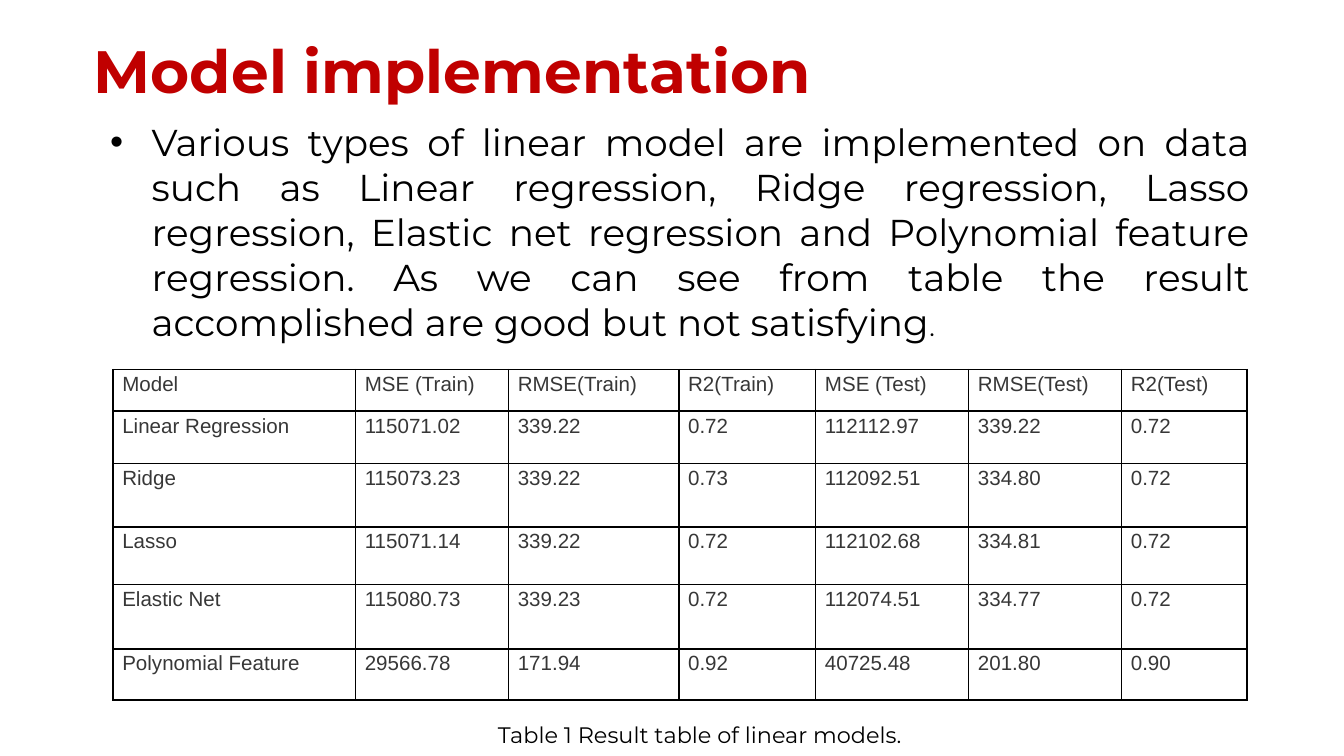
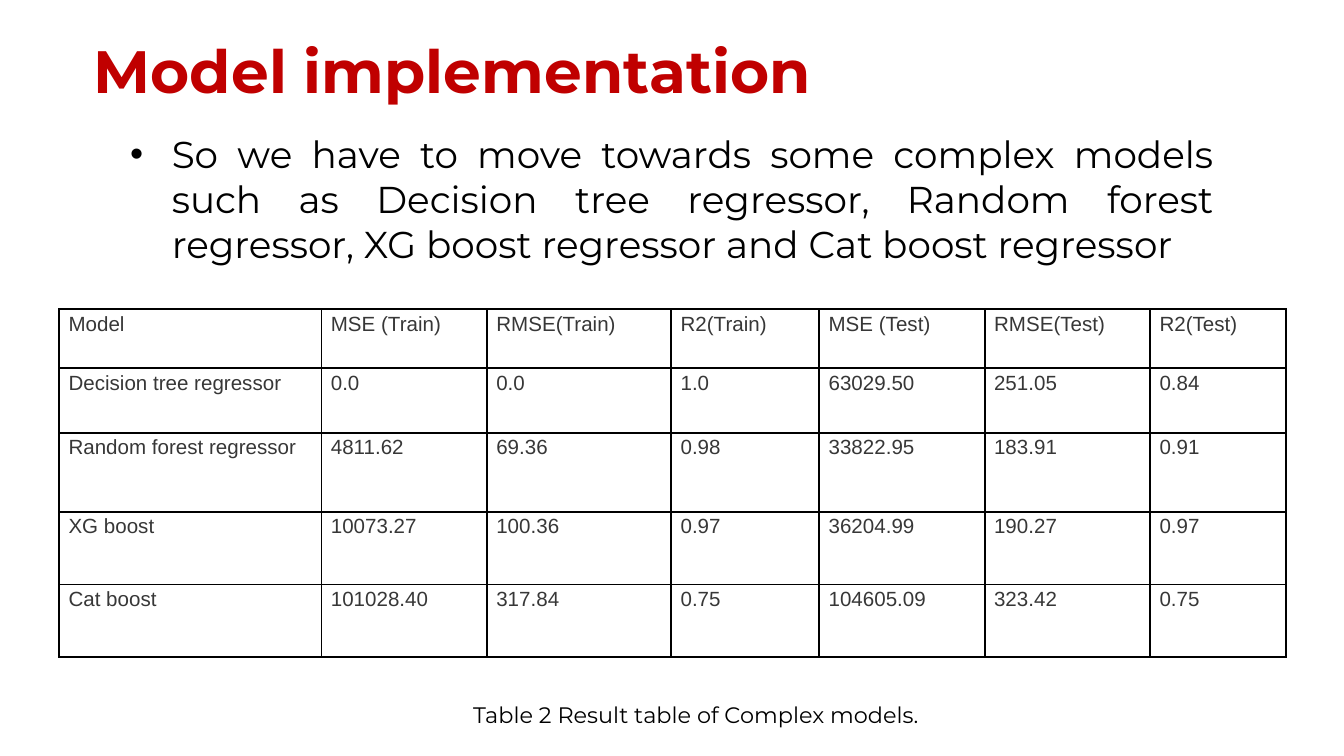
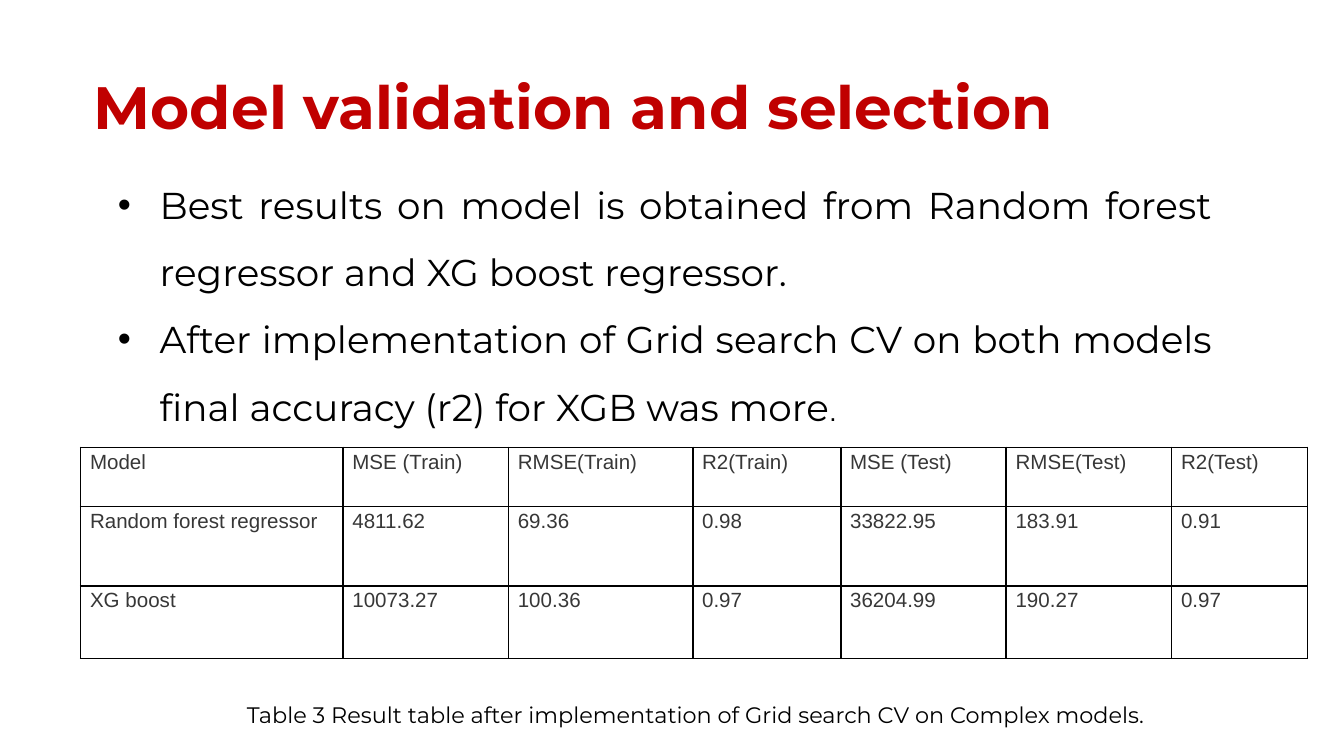
from dataclasses import dataclass

import lxml.etree
import pptx
import pptx.dml.color
import pptx.enum.text
import pptx.oxml.ns
import pptx.presentation
import pptx.shapes.autoshape
import pptx.slide
import pptx.table
import pptx.text.text
import pptx.util

Inches = pptx.util.Inches
Pt = pptx.util.Pt
ALIGN = pptx.enum.text.PP_ALIGN


@dataclass(frozen=True)
class Theme:
    title_color: str = "C00000"
    text_color: str = "000000"
    cell_color: str = "373737"
    font: str = "Montserrat"
    cell_font: str = "Arial"
    title_size: int = 32
    body_size: int = 20
    stop_size: int = 14
    caption_size: int = 12
    cell_size: int = 11
    border_width: float = 1
    bullet_indent: float = 0.31
    cell_margin: float = 0.07


@dataclass(frozen=True)
class Area:
    left: float
    top: float
    width: float
    height: float


@dataclass(frozen=True)
class ModelRow:
    height: float
    values: tuple[str, ...]


@dataclass(frozen=True)
class ResultTable:
    left: float
    top: float
    width: float
    header_height: float
    rows: tuple[ModelRow, ...]


@dataclass(frozen=True)
class ResultPage:
    title: str
    title_area: Area
    bullets: tuple[str, ...]
    body_area: Area
    table: ResultTable
    caption: str
    caption_area: Area
    line_spacing: float = 1.0
    stop_font: str = ""


THEME = Theme()
HEADINGS = ("Model", "MSE (Train)", "RMSE(Train)", "R2(Train)",
            "MSE (Test)", "RMSE(Test)", "R2(Test)")
COLUMN_SHARES = (1.95, 1.23, 1.37, 1.1, 1.23, 1.23, 1.01)
LOW_CAPTION = Area(0.57, 5.17, 9.26, 0.3)

RANDOM_FOREST = ModelRow(0.59, ("Random forest regressor", "4811.62", "69.36", "0.98",
                                "33822.95", "183.91", "0.91"))
XG_BOOST = ModelRow(0.54, ("XG boost", "10073.27", "100.36", "0.97",
                           "36204.99", "190.27", "0.97"))
LINEAR_MODELS = (
    ModelRow(0.39, ("Linear Regression", "115071.02", "339.22", "0.72",
                    "112112.97", "339.22", "0.72")),
    ModelRow(0.47, ("Ridge", "115073.23", "339.22", "0.73",
                    "112092.51", "334.80", "0.72")),
    ModelRow(0.43, ("Lasso", "115071.14", "339.22", "0.72",
                    "112102.68", "334.81", "0.72")),
    ModelRow(0.48, ("Elastic Net", "115080.73", "339.23", "0.72",
                    "112074.51", "334.77", "0.72")),
    ModelRow(0.38, ("Polynomial Feature", "29566.78", "171.94", "0.92",
                    "40725.48", "201.80", "0.90")),
)
COMPLEX_MODELS = (
    ModelRow(0.48, ("Decision tree regressor", "0.0", "0.0", "1.0",
                    "63029.50", "251.05", "0.84")),
    RANDOM_FOREST,
    XG_BOOST,
    ModelRow(0.54, ("Cat boost", "101028.40", "317.84", "0.75",
                    "104605.09", "323.42", "0.75")),
)

PAGES = (
    ResultPage(
        title="Model implementation",
        title_area=Area(0.6, 0.2, 5.83, 0.64),
        bullets=("Various types of linear model are implemented on data such as Linear "
                 "regression, Ridge regression, Lasso regression, Elastic net regression "
                 "and Polynomial feature regression. As we can see from table the result "
                 "accomplished are good but not satisfying",),
        body_area=Area(0.72, 0.84, 8.68, 1.78),
        table=ResultTable(0.84, 2.75, 8.44, 0.31, LINEAR_MODELS),
        caption="Table 1 Result table of linear models. ",
        caption_area=Area(0.6, 5.32, 9.26, 0.3),
        stop_font=THEME.font,
    ),
    ResultPage(
        title="Model implementation",
        title_area=Area(0.6, 0.2, 8.13, 0.64),
        bullets=("So we have to move towards some complex models such as Decision tree "
                 "regressor, Random forest regressor, XG boost regressor and Cat boost "
                 "regressor",),
        body_area=Area(0.87, 0.93, 8.26, 1.11),
        table=ResultTable(0.44, 2.3, 9.13, 0.44, COMPLEX_MODELS),
        caption="Table 2 Result table of Complex models. ",
        caption_area=LOW_CAPTION,
    ),
    ResultPage(
        title="Model validation and selection",
        title_area=Area(0.6, 0.2, 8.34, 0.82),
        bullets=("Best results on model is obtained from Random forest regressor and "
                 "XG boost regressor.",
                 "After implementation of Grid search CV on both models final accuracy "
                 "(r2) for XGB was more"),
        body_area=Area(0.78, 1.14, 8.34, 2.06),
        table=ResultTable(0.6, 3.33, 9.13, 0.44, (RANDOM_FOREST, XG_BOOST)),
        caption="Table 3 Result table after implementation of Grid search CV on "
                "Complex models. ",
        caption_area=LOW_CAPTION,
        line_spacing=1.5,
        stop_font=THEME.cell_font,
    ),
)


def style_span(span: pptx.text.text._Run, size: int, color: str,
               font: str = THEME.font, bold: bool = False) -> None:
    span.font.name = font
    span.font.size = Pt(size)
    span.font.bold = bold
    span.font.color.rgb = pptx.dml.color.RGBColor.from_string(color)


def add_text(page: pptx.slide.Slide, area: Area, lines: tuple[str, ...], size: int,
             color: str, align: ALIGN, line_spacing: float = 1.0,
             bold: bool = False) -> pptx.shapes.autoshape.Shape:
    box = page.shapes.add_textbox(Inches(area.left), Inches(area.top),
                                  Inches(area.width), Inches(area.height))
    box.text_frame.text = "\n".join(lines)
    box.text_frame.word_wrap = True
    box.text_frame.auto_size = pptx.enum.text.MSO_AUTO_SIZE.SHAPE_TO_FIT_TEXT
    for para in box.text_frame.paragraphs:
        para.alignment = align
        para.line_spacing = line_spacing
        style_span(para.runs[0], size, color, bold=bold)
    return box


def add_bullet(para: pptx.text.text._Paragraph) -> None:
    properties = para._p.get_or_add_pPr()
    indent = Inches(THEME.bullet_indent)
    properties.set("marL", str(indent))
    properties.set("indent", str(-indent))
    qn = pptx.oxml.ns.qn
    bullet_color = lxml.etree.SubElement(properties, qn("a:buClr"))
    lxml.etree.SubElement(bullet_color, qn("a:srgbClr"), val=THEME.text_color)
    lxml.etree.SubElement(properties, qn("a:buFont"), typeface=THEME.cell_font)
    lxml.etree.SubElement(properties, qn("a:buChar"), char="•")


def add_body(page: pptx.slide.Slide, content: ResultPage) -> None:
    box = add_text(page, content.body_area, content.bullets, THEME.body_size,
                   THEME.text_color, ALIGN.JUSTIFY, content.line_spacing)
    for para in box.text_frame.paragraphs:
        add_bullet(para)
    if content.stop_font:
        stop = box.text_frame.paragraphs[-1].add_run()
        stop.text = "."
        style_span(stop, THEME.stop_size, THEME.text_color, content.stop_font)


def add_borders(cell: pptx.table._Cell) -> None:
    qn = pptx.oxml.ns.qn
    properties = cell._tc.get_or_add_tcPr()
    for side in ("lnL", "lnR", "lnT", "lnB"):
        line = lxml.etree.SubElement(properties, qn(f"a:{side}"),
                                     w=str(Pt(THEME.border_width)))
        fill = lxml.etree.SubElement(line, qn("a:solidFill"))
        lxml.etree.SubElement(fill, qn("a:srgbClr"), val=THEME.text_color)


def fill_cell(cell: pptx.table._Cell, value: str) -> None:
    cell.text_frame.text = value
    cell.margin_left = cell.margin_right = Inches(THEME.cell_margin)
    cell.margin_top = cell.margin_bottom = 0
    add_borders(cell)
    cell.fill.background()
    para = cell.text_frame.paragraphs[0]
    para.alignment = ALIGN.JUSTIFY
    para.line_spacing = 1.15
    para.space_after = Pt(5)
    style_span(para.runs[0], THEME.cell_size, THEME.cell_color, THEME.cell_font)


def add_results(page: pptx.slide.Slide, results: ResultTable) -> None:
    rows = (ModelRow(results.header_height, HEADINGS), *results.rows)
    height = sum(row.height for row in rows)
    table = page.shapes.add_table(len(rows), len(HEADINGS), Inches(results.left),
                                  Inches(results.top), Inches(results.width),
                                  Inches(height)).table
    table.first_row = False
    table.horz_banding = False
    for column, share in zip(table.columns, COLUMN_SHARES):
        column.width = Inches(results.width * share / sum(COLUMN_SHARES))
    for row_index, row in enumerate(rows):
        table.rows[row_index].height = Inches(row.height)
        for column_index, value in enumerate(row.values):
            fill_cell(table.cell(row_index, column_index), value)


def add_page(deck: pptx.presentation.Presentation, content: ResultPage) -> None:
    page = deck.slides.add_slide(deck.slide_layouts[6])
    add_text(page, content.title_area, (content.title,), THEME.title_size,
             THEME.title_color, ALIGN.LEFT, content.line_spacing, bold=True)
    add_body(page, content)
    add_results(page, content.table)
    add_text(page, content.caption_area, (content.caption,), THEME.caption_size,
             THEME.text_color, ALIGN.CENTER)


def main() -> None:
    deck = pptx.Presentation()
    deck.slide_width = Inches(10)
    deck.slide_height = deck.slide_width * 9 // 16
    for content in PAGES:
        add_page(deck, content)
    deck.save("out.pptx")


if __name__ == "__main__":
    main()
